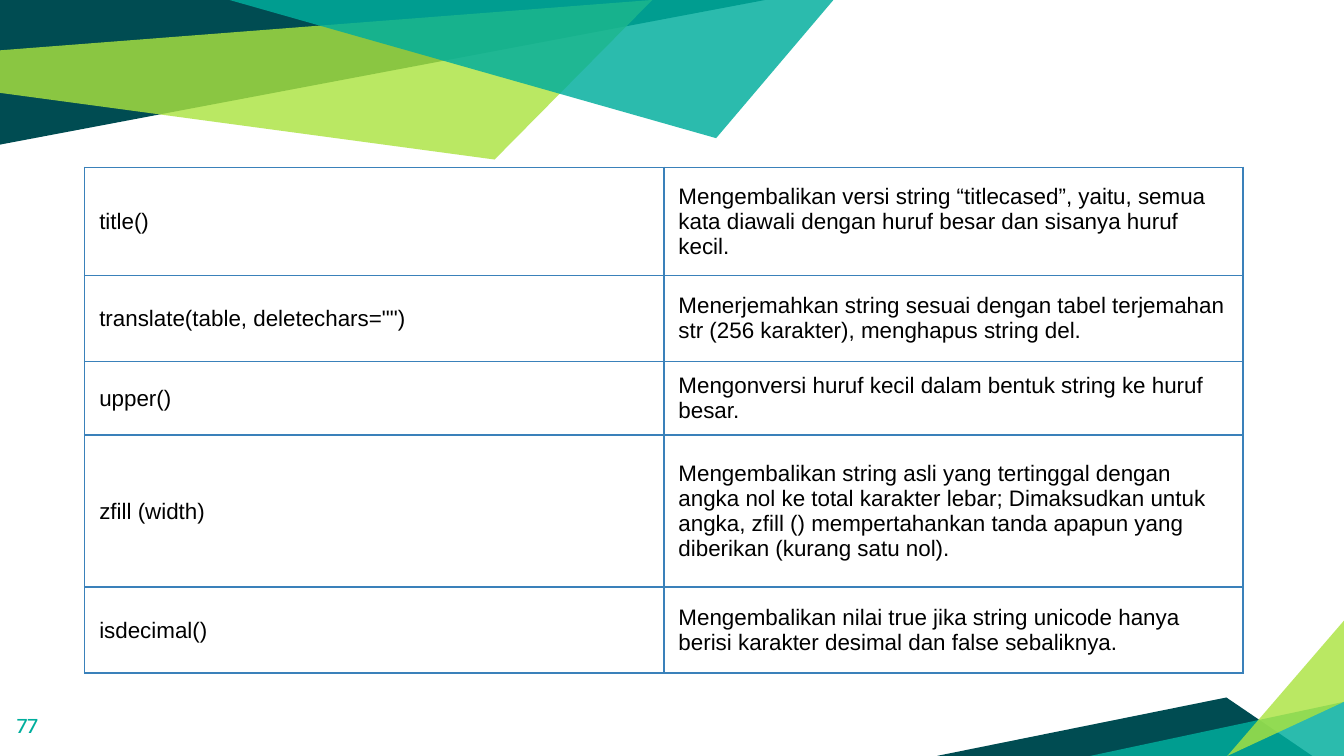
import pptx
import pptx.dml.color
import pptx.enum.text
import pptx.oxml
import pptx.oxml.ns
import pptx.util

Pt = pptx.util.Pt
RGBColor = pptx.dml.color.RGBColor

DARK_TEAL = RGBColor(0x00, 0x4C, 0x52)
TEAL = RGBColor(0x00, 0xAE, 0x9D)
LIME = RGBColor(0xAB, 0xE3, 0x3F)
BORDER_BLUE = RGBColor(0x3A, 0x81, 0xBA)
BLACK = RGBColor(0x00, 0x00, 0x00)

RIBBONS = [
    (DARK_TEAL, 100, [(0, 0), (0, 77.5), (410, 0)]),
    (LIME, 81, [(0, 27), (0, 49.8), (265, 85.5), (349.5, 0)]),
    (DARK_TEAL, 100, [(502, 405), (703, 405), (657, 373.7)]),
    (TEAL, 83, [(720, 376), (720, 405), (584, 405)]),
    (LIME, 81, [(720, 376), (720, 332.5), (657.5, 405)]),
    (TEAL, 83, [(123, 0), (383.7, 74), (446.5, 0)]),
]

STRING_METHODS = [
    ("title()", "Mengembalikan versi string “titlecased”, yaitu, semua kata diawali "
     "dengan huruf besar dan sisanya huruf kecil."),
    ('translate(table, deletechars="")', "Menerjemahkan string sesuai dengan tabel "
     "terjemahan str (256 karakter), menghapus string del."),
    ("upper()", "Mengonversi huruf kecil dalam bentuk string ke huruf besar."),
    ("zfill (width)", "Mengembalikan string asli yang tertinggal dengan angka nol ke "
     "total karakter lebar; Dimaksudkan untuk angka, zfill () mempertahankan tanda "
     "apapun yang diberikan (kurang satu nol)."),
    ("isdecimal()", "Mengembalikan nilai true jika string unicode hanya berisi karakter "
     "desimal dan false sebaliknya."),
]
ROW_HEIGHTS = [57.8, 46.1, 39.6, 81.4, 46.1]


class SlideBuilder:
    text_font = "Arial"
    number_font = "Karla"
    text_size = 12
    border_width = 1

    def __init__(self, slide):
        self.slide = slide

    def ribbon(self, color, opacity, corners):
        points = [(Pt(x), Pt(y)) for x, y in corners]
        outline = self.slide.shapes.build_freeform(*points[0])
        outline.add_line_segments(points[1:], close=True)
        ribbon = outline.convert_to_shape()
        ribbon.shadow.inherit = False
        ribbon.line.fill.background()
        ribbon.fill.solid()
        ribbon.fill.fore_color.rgb = color
        if opacity < 100:
            tint = ribbon._element.spPr.find(".//" + pptx.oxml.ns.qn("a:srgbClr"))
            tint.append(pptx.oxml.parse_xml(
                f'<a:alpha {pptx.oxml.ns.nsdecls("a")} val="{opacity * 1000}"/>'))

    def add_text(self, frame, text, font, color):
        run = frame.paragraphs[0].add_run()
        run.text = text
        run.font.name = font
        run.font.size = Pt(self.text_size)
        run.font.color.rgb = color

    def page_number(self, text, left, top, width, height):
        frame = self.slide.shapes.add_textbox(
            Pt(left), Pt(top), Pt(width), Pt(height)).text_frame
        frame.word_wrap = True
        frame.margin_left = frame.margin_right = Pt(7.2)
        frame.margin_top = frame.margin_bottom = Pt(7.2)
        self.add_text(frame, text, self.number_font, TEAL)

    def border(self, cell):
        properties = cell._tc.get_or_add_tcPr()
        for position, side in enumerate(("lnL", "lnR", "lnT", "lnB")):
            properties.insert(position, pptx.oxml.parse_xml(
                f'<a:{side} {pptx.oxml.ns.nsdecls("a")} w="{Pt(self.border_width)}">'
                f'<a:solidFill><a:srgbClr val="{BORDER_BLUE}"/></a:solidFill></a:{side}>'))

    def table(self, rows, heights, left, top, width):
        table = self.slide.shapes.add_table(
            len(rows), len(rows[0]), Pt(left), Pt(top), Pt(width), Pt(sum(heights))).table
        table.first_row = table.horz_banding = False
        for row, height, texts in zip(table.rows, heights, rows):
            row.height = Pt(height)
            for cell, text in zip(row.cells, texts):
                cell.fill.background()
                cell.vertical_anchor = pptx.enum.text.MSO_ANCHOR.MIDDLE
                cell.margin_left = cell.margin_right = Pt(7.9)
                cell.margin_top = cell.margin_bottom = Pt(5)
                self.add_text(cell.text_frame, text, self.text_font, BLACK)
                self.border(cell)


def main():
    presentation = pptx.Presentation()
    presentation.slide_width = Pt(720)
    presentation.slide_height = Pt(405)
    builder = SlideBuilder(presentation.slides.add_slide(presentation.slide_layouts[6]))
    for ribbon in RIBBONS:
        builder.ribbon(*ribbon)
    builder.page_number("77", 2, 373.7, 43, 31)
    builder.table(STRING_METHODS, ROW_HEIGHTS, 45.3, 89.7, 620.6)
    presentation.save("out.pptx")


if __name__ == "__main__":
    main()
